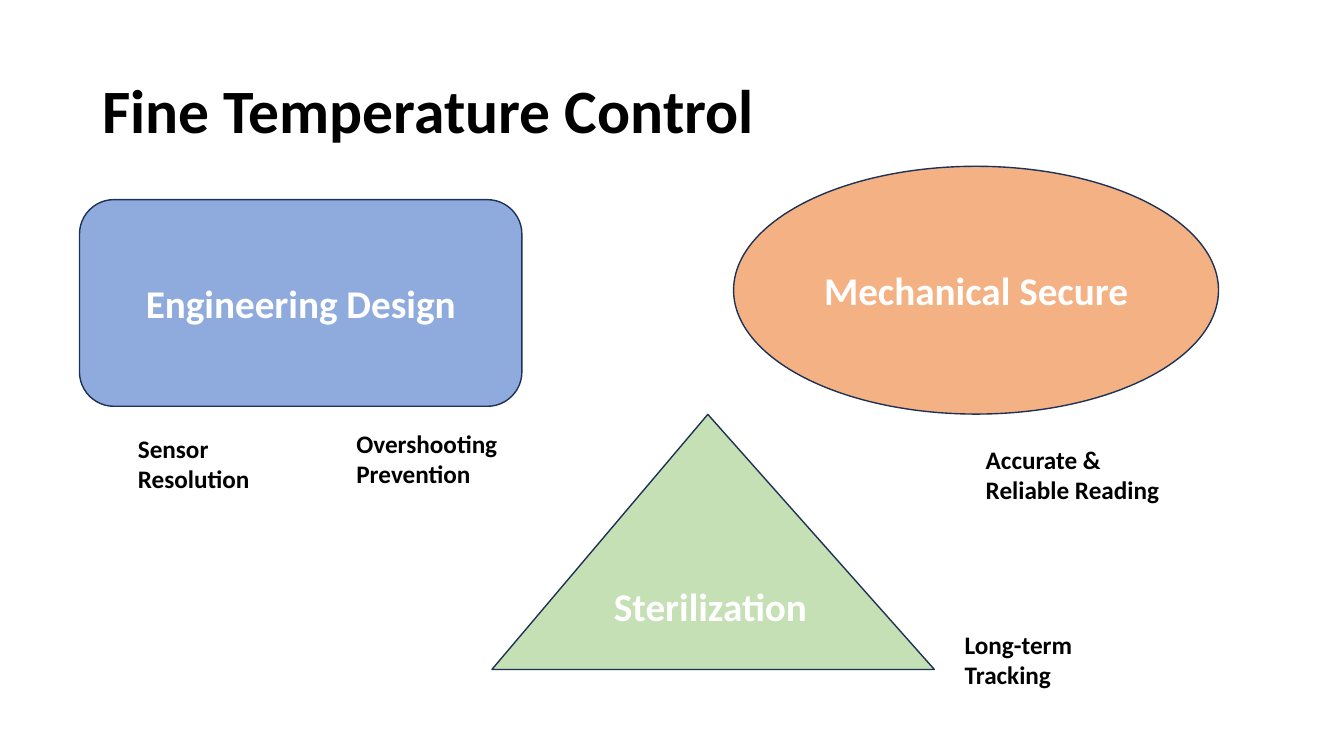
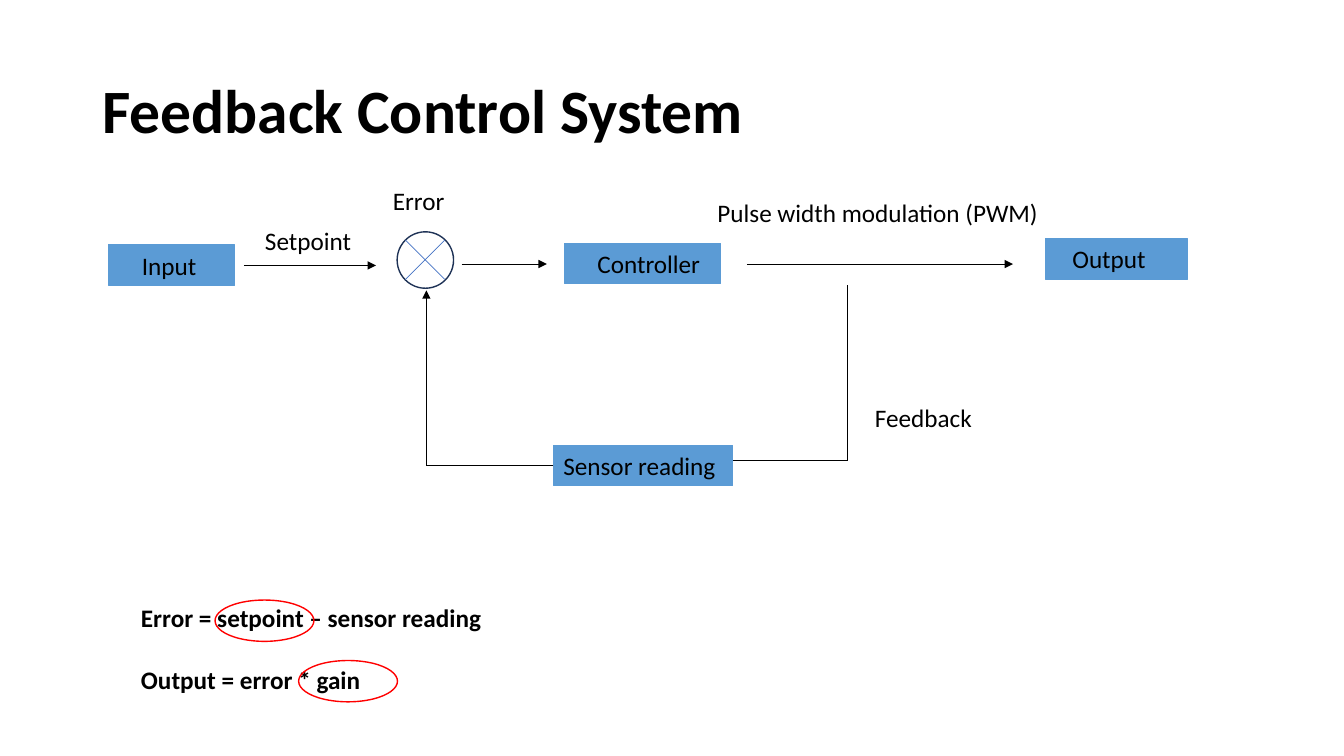
"""Build two slides on temperature control and its feedback loop."""
from pptx import Presentation
from pptx.dml.color import RGBColor
from pptx.enum import shapes, text
from pptx.oxml.ns import qn
from pptx.util import Pt
from lxml import etree

BLACK = RGBColor(0x00, 0x00, 0x00)
WHITE = RGBColor(0xFF, 0xFF, 0xFF)
NAVY = RGBColor(0x1E, 0x32, 0x56)
BLUE = RGBColor(0x8F, 0xAA, 0xDC)
PEACH = RGBColor(0xF4, 0xB1, 0x83)
GREEN = RGBColor(0xC5, 0xE0, 0xB4)
NODE = RGBColor(0x5B, 0x9B, 0xD5)
CROSS = RGBColor(0x44, 0x72, 0xC4)
RED = RGBColor(0xFF, 0x00, 0x00)

FORM = shapes.MSO_SHAPE
MID = text.MSO_ANCHOR.MIDDLE
TOP = text.MSO_ANCHOR.TOP
LEFT = text.PP_ALIGN.LEFT
CENTER = text.PP_ALIGN.CENTER

HEAD = {"size": Pt(44), "bold": True, "color": BLACK}
NAME = {"size": Pt(28), "bold": True, "color": WHITE}
NOTE = {"size": Pt(18), "bold": True, "color": BLACK}
BODY = {"size": Pt(18), "bold": False, "color": BLACK}


def box(slide, at, lines=(), style=BODY, form=None, fill=None, edge=None,
        width=1, anchor=TOP, align=LEFT, inset=7.2, gap=0):
    """Add a text box, or a preset shape if a form is given."""
    place = [Pt(n) for n in at]
    if form is None:
        shape = slide.shapes.add_textbox(*place)
    else:
        shape = slide.shapes.add_shape(form, *place)
        shape.shadow.inherit = False
        if fill is None:
            shape.fill.background()
        else:
            shape.fill.solid()
            shape.fill.fore_color.rgb = fill
        shape.line.color.rgb = edge
        shape.line.width = Pt(width)
    write(shape.text_frame, lines, style, anchor, align, inset, gap)
    return shape


def write(frame, lines, style, anchor, align, inset=7.2, gap=0):
    """Fill a text frame with evenly spaced paragraphs in one style."""
    frame.word_wrap = True
    frame.vertical_anchor = anchor
    frame.margin_left = Pt(inset)
    for i, line in enumerate(lines):
        para = frame.add_paragraph() if i else frame.paragraphs[0]
        para.text = line
        para.alignment = align
        if i:
            para.space_before = Pt(gap)
        para.font.name = "Calibri"
        for key, val in style.items():
            if key == "color":
                para.font.color.rgb = val
            else:
                setattr(para.font, key, val)


deck = Presentation()
deck.slide_width, deck.slide_height = Pt(960), Pt(540)

pages = []
for words in ("Fine Temperature Control", "Feedback Control System"):
    page = deck.slides.add_slide(deck.slide_layouts[5])
    title = page.shapes.title
    title.left, title.top, title.width, title.height = Pt(66), Pt(28.8), Pt(828), Pt(104.4)
    write(title.text_frame, [words], HEAD, MID, LEFT)
    title.text_frame.auto_size = text.MSO_AUTO_SIZE.NONE
    title.text_frame.paragraphs[0].line_spacing = 0.9
    pages.append(page)
goals, loop = pages

for words, form, fill, at in (
    ("Engineering Design", FORM.ROUNDED_RECTANGLE, BLUE, (56.8, 142.6, 316, 147.6)),
    ("Mechanical Secure", FORM.OVAL, PEACH, (524, 118.8, 346.4, 177)),
    ("Sterilization", FORM.ISOSCELES_TRIANGLE, GREEN, (351.4, 296, 316, 182.2)),
):
    theme = box(goals, at, [words], NAME, form, fill, NAVY, anchor=MID, align=CENTER)
theme.adjustments[0] = 0.488

for words, at in (
    ("Accurate & Reliable Reading", (697, 314, 143.3, 51)),
    ("Sensor Resolution", (91.4, 306, 135.4, 51)),
    ("Overshooting Prevention", (247.5, 302.4, 120.2, 51)),
    ("Long-term Tracking", (682, 445.7, 138.2, 51)),
):
    box(goals, at, [words], NOTE)

nodes = {}
for words, left, top, width, fill, inset in (
    ("Input", 77.8, 175, 90, NODE, 23.5),
    ("Controller", 403.2, 173.8, 111.6, NODE, 23.5),
    ("Sensor reading", 395.3, 318.2, 128.2, NODE, 7.2),
    ("Output", 746.6, 170.6, 101.5, NODE, 19.4),
    ("Pulse width modulation (PWM)", 505.4, 137.5, 249.8, WHITE, 7.2),
    ("Error", 273.6, 128.9, 59.8, WHITE, 7.2),
):
    nodes[words] = box(loop, (left, top, width, 28.8), [words], form=FORM.RECTANGLE,
                       fill=fill, edge=fill, width=0.75, inset=inset)

box(loop, (283.7, 165.6, 40.3, 40.3), form=FORM.OVAL, fill=WHITE, edge=NAVY)
box(loop, (617.8, 283.7, 118.8, 28.8), ["Feedback"])
box(loop, (182.2, 157.7, 86.4, 28.8), ["Setpoint"])
box(loop, (93.6, 427, 274.3, 72.7),
    ["Error = setpoint – sensor reading", "Output = error * gain"], NOTE, gap=22)

sensor = nodes["Sensor reading"]
for ends, color, arrow, start in (
    ((174.2, 189.6, 268.6, 189.6), BLACK, True, None),
    ((329.8, 188.6, 390.6, 188.6), BLACK, True, None),
    ((533.5, 188.6, 723.6, 188.6), BLACK, True, None),
    ((605.5, 203.8, 605.5, 329), BLACK, False, None),
    ((605.5, 329, 523.5, 329), BLACK, False, None),
    ((395.3, 332.6, 304.6, 332.6), BLACK, False, sensor),
    ((304.6, 332.6, 304.6, 207.4), BLACK, True, None),
    ((289.6, 171.5, 317.7, 199.6), CROSS, False, None),
    ((317.7, 171.5, 289.6, 199.6), CROSS, False, None),
):
    wire = loop.shapes.add_connector(shapes.MSO_CONNECTOR.STRAIGHT, *[Pt(n) for n in ends])
    wire.line.color.rgb = color
    wire.line.width = Pt(0.5)
    if start is not None:
        wire.begin_connect(start, 1)
    if arrow:
        etree.SubElement(wire.line._get_or_add_ln(), qn("a:tailEnd"), type="triangle")
    etree.SubElement(wire._element.spPr, qn("a:effectLst"))

for left, top in ((153.6, 428.6), (213.3, 471.8)):
    box(loop, (left, top, 70.6, 29.5), form=FORM.OVAL, edge=RED)

deck.save("out.pptx")
